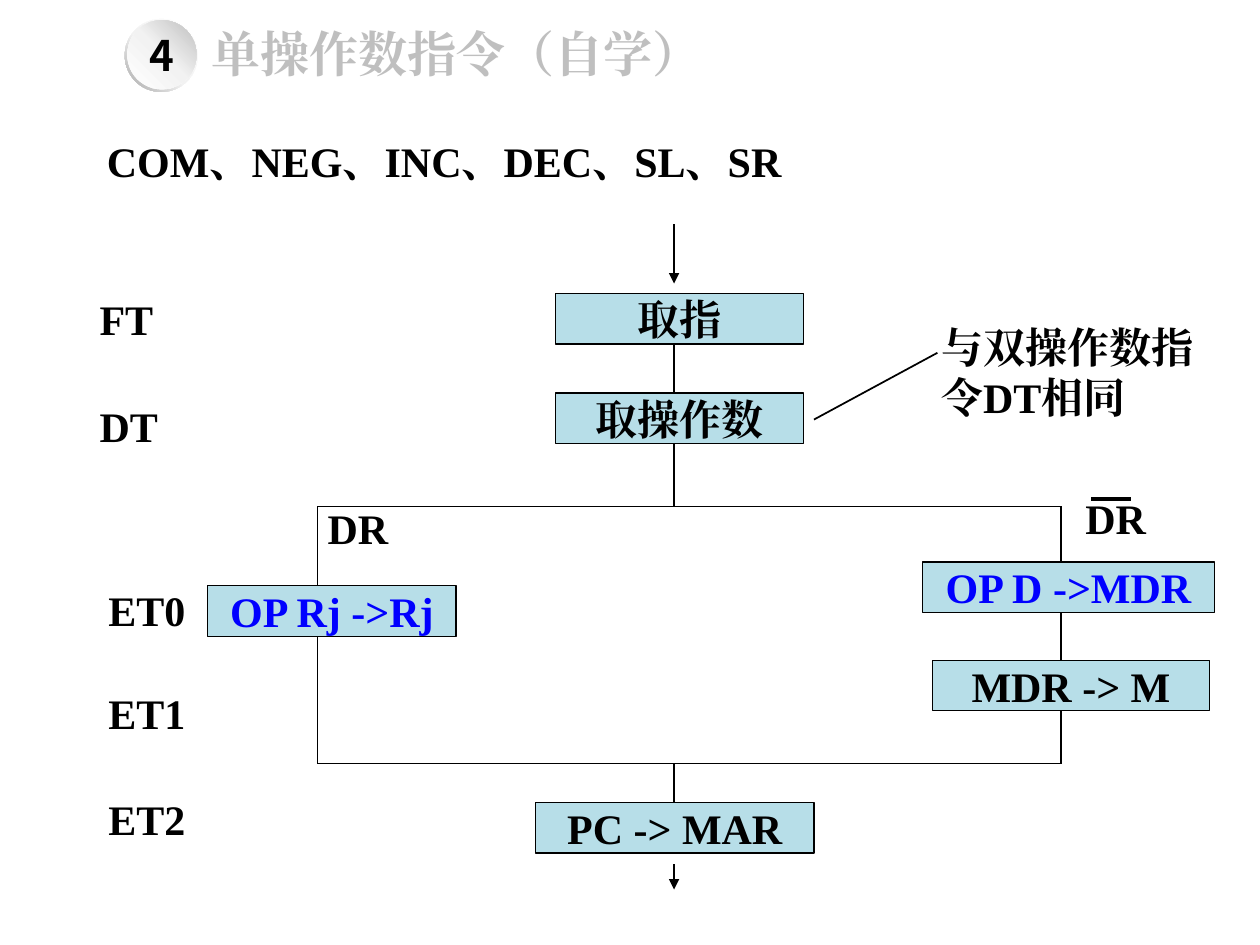
from lxml.etree import SubElement
from pptx import Presentation
from pptx.dml.color import RGBColor
from pptx.enum.shapes import MSO_CONNECTOR, MSO_SHAPE
from pptx.enum.text import MSO_ANCHOR, MSO_AUTO_SIZE, PP_ALIGN
from pptx.oxml import parse_xml
from pptx.oxml.ns import nsdecls, qn
from pptx.util import Inches, Pt

THEME = {
    "ink": "000000", "operation": "0000FF", "heading": "BFBFBF", "step": "B7DEE8",
    "face": "Times New Roman", "badge_face": "Noto Sans CJK SC",
    "body": 24, "title": 28, "rule": 1, "bar": 2, "outline": 0.75,
    "rim": [(0, "FFFFFF"), (55, "F2F2F2"), (100, "A6A6A6")],
    "disc": [(0, "FFFFFF"), (51, "F2F2F2"), (100, "BFBFBF")],
}
LEFT, CENTER, RIGHT = 2.52, 5.35, 8.42
FORK, JOIN = 4.02, 6.06
ROW = 0.4

TITLE = ("单操作数指令（自学）", (1.58, 0.14, 4.12, 0.57))
NOTES = [
    ("COM、NEG、INC、DEC、SL、SR", (0.75, 1.03, 8.39, 0.5)),
    ("与双操作数指令DT相同", (7.37, 2.5, 2.49, 0.91)),
]
CYCLES = [
    ("FT", 0.79, 2.33), ("DT", 0.79, 3.18),
    ("ET0", 0.86, 4.64), ("ET1", 0.86, 5.46), ("ET2", 0.86, 6.3),
]
BRANCHES = [
    ("DR", (2.6, 3.99, 1.1, ROW), PP_ALIGN.LEFT),
    ("DR", (RIGHT, 3.91, 0.87, ROW), PP_ALIGN.CENTER),
]
STEPS = [
    ("取指", 4.41, 2.33, 1.97, "ink"),
    ("取操作数", 4.41, 3.12, 1.97, "ink"),
    ("OP Rj ->Rj", 1.65, 4.65, 1.97, "operation"),
    ("OP D ->MDR", 7.32, 4.46, 2.32, "operation"),
    ("MDR -> M", 7.4, 5.24, 2.2, "ink"),
    ("PC -> MAR", 4.25, 6.37, 2.21, "ink"),
]
FLOW = [
    (CENTER, 2.65, CENTER, FORK),
    (LEFT, FORK, RIGHT, FORK),
    (LEFT, FORK, LEFT, JOIN),
    (RIGHT, FORK, RIGHT, JOIN),
    (LEFT, JOIN, RIGHT, JOIN),
    (CENTER, JOIN, CENTER, 6.38),
    (7.44, 2.8, 6.46, 3.33),
]
ARROWS = [(CENTER, 1.78, CENTER, 2.25), (CENTER, 6.86, CENTER, 7.06)]
NEGATION = (8.66, 3.96, 8.98, 3.96)
BADGE = [
    (MSO_SHAPE.DONUT, (0.99, 0.15, 0.58, 0.58), "rim", 135),
    (MSO_SHAPE.OVAL, (1.01, 0.16, 0.55, 0.55), "disc", 315),
]

deck = Presentation()
deck.slide_width, deck.slide_height = Inches(10), Inches(7.5)
slide = deck.slides.add_slide(deck.slide_layouts[5])


def color(name):
    return RGBColor.from_string(THEME[name])


def apply(target, formats):
    for name, value in formats.items():
        setattr(target, name, value)


def write(holder, words, ink="ink", size="body", face="face", align=PP_ALIGN.LEFT,
          inset=0.0, anchor=MSO_ANCHOR.TOP, fit=MSO_AUTO_SIZE.SHAPE_TO_FIT_TEXT):
    frame = holder.text_frame
    side, edge = Inches(inset), Inches(inset / 2)
    apply(frame, {"word_wrap": True, "auto_size": fit, "vertical_anchor": anchor,
                  "margin_left": side, "margin_right": side,
                  "margin_top": edge, "margin_bottom": edge})
    paragraph = frame.paragraphs[0]
    paragraph.alignment = align
    run = paragraph.add_run()
    run.text = words
    apply(run.font, {"name": THEME[face], "size": Pt(THEME[size]), "bold": True})
    run.font.color.rgb = color(ink)
    SubElement(run.font._element, qn("a:ea"), typeface=THEME[face])


def label(words, place, **formats):
    write(slide.shapes.add_textbox(*map(Inches, place)), words, **formats)


def line(ends, weight="rule", arrow=False):
    connector = slide.shapes.add_connector(MSO_CONNECTOR.STRAIGHT, *map(Inches, ends))
    connector.line.color.rgb = color("ink")
    connector.line.width = Pt(THEME[weight])
    if arrow:
        SubElement(connector.line._get_or_add_ln(), qn("a:tailEnd"), type="triangle")
    SubElement(connector._element.spPr, qn("a:effectLst"))


def shade(shape, stops, angle):
    marks = "".join(f'<a:gs pos="{pos * 1000}"><a:srgbClr val="{tone}"/></a:gs>'
                    for pos, tone in stops)
    shape._element.spPr.find(qn("a:prstGeom")).addnext(parse_xml(
        f'<a:gradFill {nsdecls("a")} rotWithShape="1"><a:gsLst>{marks}</a:gsLst>'
        f'<a:lin ang="{angle * 60000}" scaled="0"/></a:gradFill>'))


heading, place = TITLE
title = slide.shapes.title
apply(title, dict(zip(("left", "top", "width", "height"), map(Inches, place))))
write(title, heading, ink="heading", size="title", inset=0.1)

for ends in FLOW:
    line(ends)
for ends in ARROWS:
    line(ends, arrow=True)
line(NEGATION, weight="bar")

for words, left, top, width, ink in STEPS:
    step = slide.shapes.add_shape(MSO_SHAPE.RECTANGLE, *map(Inches, (left, top, width, ROW)))
    step.shadow.inherit = False
    step.fill.solid()
    step.fill.fore_color.rgb = color("step")
    step.line.color.rgb = color("ink")
    step.line.width = Pt(THEME["outline"])
    write(step, words, ink=ink, align=PP_ALIGN.CENTER)

for words, place in NOTES:
    label(words, place, inset=0.1)
for words, left, top in CYCLES:
    label(words, (left, top, 0.87, ROW))
for words, place, align in BRANCHES:
    label(words, place, align=align)

badge = slide.shapes.add_group_shape()
for outline, place, stops, angle in BADGE:
    ring = badge.shapes.add_shape(outline, *map(Inches, place))
    ring.shadow.inherit = False
    ring.line.fill.background()
    shade(ring, THEME[stops], angle)
    if outline == MSO_SHAPE.DONUT:
        ring.adjustments[0] = 0.05
    else:
        write(ring, "4", face="badge_face", align=PP_ALIGN.CENTER,
              anchor=MSO_ANCHOR.MIDDLE, fit=MSO_AUTO_SIZE.NONE)

deck.save("out.pptx")
